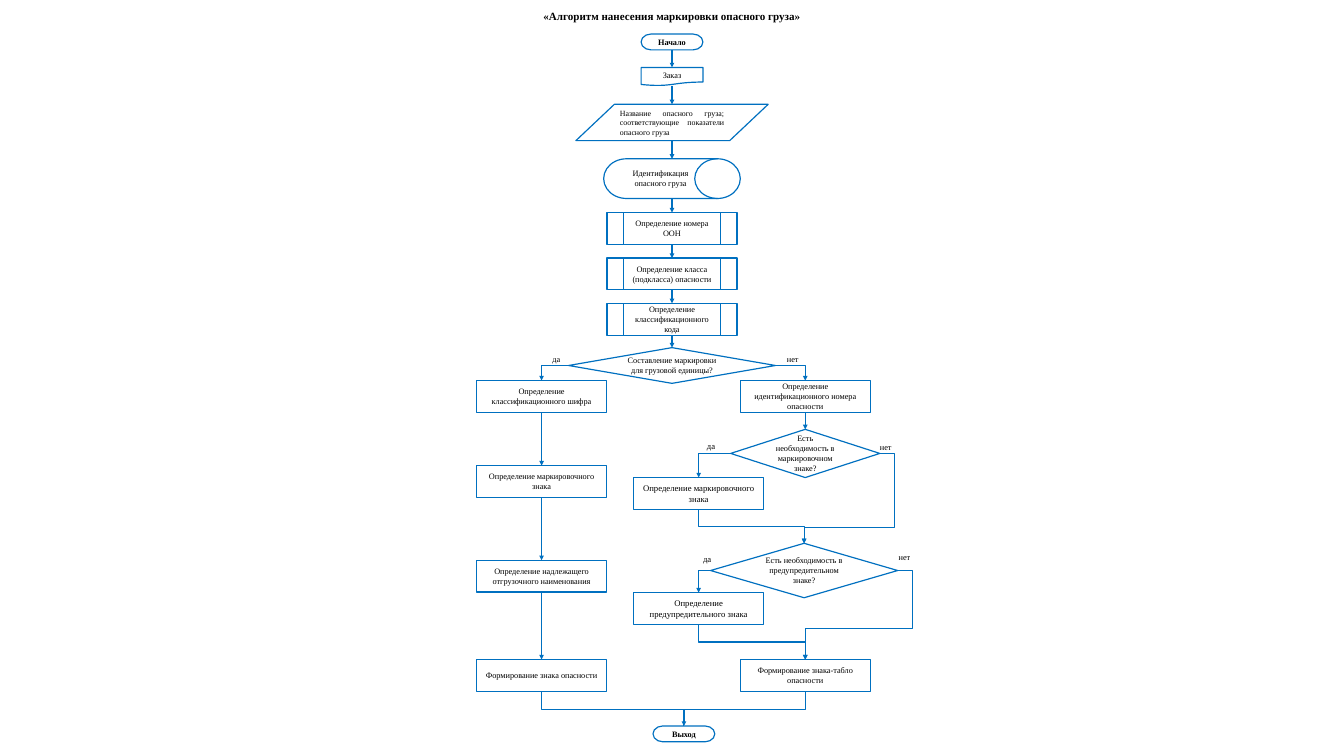
import pptx
import pptx.util
import pptx.dml.color
import pptx.enum.shapes
import pptx.enum.text
import pptx.oxml.ns

SHAPE = pptx.enum.shapes.MSO_SHAPE
CONNECTOR = pptx.enum.shapes.MSO_CONNECTOR
ALIGN = pptx.enum.text.PP_ALIGN
ANCHOR = pptx.enum.text.MSO_ANCHOR
AUTO_SIZE = pptx.enum.text.MSO_AUTO_SIZE

TOP, LEFT, BOTTOM, RIGHT = range(4)
# Horizontal centres of the columns
MAIN, CARGO, VEHICLE, SIGN, EXIT = 1185, 955, 1420, 1232, 1206
BOX = (229, 56)
PILL = (109, 28)


def px(value):
    """Turn px into EMU, 100 px to the inch."""
    return pptx.util.Emu(value * 9144)


def color(hex_value):
    return pptx.dml.color.RGBColor.from_string(hex_value)


def add_child(parent, tag, **attributes):
    parent.append(parent.makeelement(pptx.oxml.ns.qn(tag), attributes))


class Flowchart:
    font = "Times New Roman"
    ink = "000000"
    stroke = "0070C0"
    stroke_width = 1.5

    def __init__(self, slide):
        self.slide = slide

    def add_text(self, frame, text, size, bold=False, align=ALIGN.CENTER):
        frame.word_wrap = True
        paragraph = frame.paragraphs[0]
        paragraph.alignment = align
        run = paragraph.add_run()
        run.text = text
        run.font.name = self.font
        run.font.size = pptx.util.Pt(size)
        run.font.bold = bold
        run.font.color.rgb = color(self.ink)

    def title(self, text, left, top, width, height):
        heading = self.slide.shapes.title
        heading.left, heading.top = px(left), px(top)
        heading.width, heading.height = px(width), px(height)
        heading.text_frame.auto_size = AUTO_SIZE.NONE
        heading.text_frame.vertical_anchor = ANCHOR.TOP
        self.add_text(heading.text_frame, text, 14, bold=True)

    def node(self, kind, text, center, top, size=BOX, font_size=10.5,
             bold=False, align=ALIGN.CENTER):
        width, height = size
        step = self.slide.shapes.add_shape(
            kind, px(center) - px(width) // 2, px(top), px(width), px(height))
        step.shadow.inherit = False
        step.fill.background()
        self.outline(step.line)
        step.text_frame.vertical_anchor = ANCHOR.MIDDLE
        self.add_text(step.text_frame, text, font_size, bold, align)
        return step

    def answer(self, text, left, top, font_size=10.5):
        label = self.slide.shapes.add_textbox(px(left), px(top), px(44), px(28))
        self.add_text(label.text_frame, text, font_size)
        label.text_frame.auto_size = AUTO_SIZE.SHAPE_TO_FIT_TEXT

    def outline(self, line):
        line.color.rgb = color(self.stroke)
        line.width = pptx.util.Pt(self.stroke_width)

    def finish(self, connector, arrow):
        self.outline(connector.line)
        properties = connector.element.spPr
        if arrow:
            add_child(properties.find(pptx.oxml.ns.qn("a:ln")), "a:tailEnd", type="triangle")
        add_child(properties, "a:effectLst")

    def flow(self, *steps):
        """Join each step to the next one below it with a straight arrow."""
        for upper, lower in zip(steps, steps[1:]):
            arrow = self.slide.shapes.add_connector(
                CONNECTOR.STRAIGHT,
                upper.left + upper.width // 2, upper.top + upper.height,
                lower.left + lower.width // 2, lower.top)
            # A parallelogram numbers its connection sites differently
            if upper.auto_shape_type != SHAPE.FLOWCHART_DATA:
                arrow.begin_connect(upper, BOTTOM)
            if lower.auto_shape_type != SHAPE.FLOWCHART_DATA:
                arrow.end_connect(lower, TOP)
            self.finish(arrow, True)

    def elbow(self, start, side, end, bends=(), arrow=True):
        """Lead from a side of start to the top of end; bends are fractions."""
        bent = self.slide.shapes.add_connector(CONNECTOR.ELBOW, 0, 0, 0, 0)
        bent.begin_connect(start, side)
        bent.end_connect(end, TOP)
        geometry = bent.element.spPr.find(pptx.oxml.ns.qn("a:prstGeom"))
        geometry.set("prst", f"bentConnector{len(bends) + 2}")
        guides = geometry.find(pptx.oxml.ns.qn("a:avLst"))
        for number, bend in enumerate(bends, 1):
            add_child(guides, "a:gd", name=f"adj{number}",
                      fmla=f"val {round(bend * 100000)}")
        if side == BOTTOM:
            self.turn_downward(bent)
        self.finish(bent, arrow)

    def turn_downward(self, bent):
        """Rotate the connector so that it leaves vertically."""
        rightward = bent.end_x > bent.begin_x
        across, down = bent.width, bent.height
        middle_x, middle_y = bent.left + across // 2, bent.top + down // 2
        bent.left, bent.top = middle_x - down // 2, middle_y - across // 2
        bent.width, bent.height = down, across
        frame = bent.element.spPr.find(pptx.oxml.ns.qn("a:xfrm"))
        frame.set("rot", "16200000" if rightward else "5400000")
        frame.set("flipH", "1" if rightward else "0")
        frame.set("flipV", "0")


def build(chart):
    node = chart.node
    process = SHAPE.FLOWCHART_PROCESS
    routine = SHAPE.FLOWCHART_PREDEFINED_PROCESS
    decision = SHAPE.FLOWCHART_DECISION

    chart.title("«Алгоритм нанесения маркировки опасного груза»", 810, 11, 750, 34)

    start = node(SHAPE.FLOWCHART_TERMINATOR, "Начало", MAIN, 60, PILL, bold=True)
    order = node(SHAPE.FLOWCHART_DOCUMENT, "Заказ", MAIN, 119, (109, 32))
    cargo_data = node(
        SHAPE.FLOWCHART_DATA,
        "Название опасного груза; соответствующие показатели опасного груза",
        MAIN, 184, (339, 64), 10, align=ALIGN.JUSTIFY)
    identification = node(SHAPE.FLOWCHART_DIRECT_ACCESS_STORAGE,
                          "Идентификация опасного груза", MAIN, 280, (241, 70))
    routines = [node(routine, text, MAIN, 375 + 80 * row) for row, text in enumerate((
        "Определение номера ООН",
        "Определение класса (подкласса) опасности",
        "Определение классификационного кода"))]
    cargo_unit = node(decision, "Составление маркировки для грузовой единицы?",
                      MAIN, 613, (365, 63))
    chart.flow(start, order, cargo_data, identification, *routines, cargo_unit)

    cargo_steps = [node(process, text, CARGO, top) for text, top in (
        ("Определение классификационного шифра", 671),
        ("Определение маркировочного знака", 821),
        ("Определение надлежащего отгрузочного наименования", 988),
        ("Формирование знака опасности", 1163))]
    chart.flow(*cargo_steps)

    hazard_number = node(process, "Определение идентификационного номера опасности",
                         VEHICLE, 671)
    marking_needed = node(decision, "Есть необходимость в маркировочном знаке?",
                          VEHICLE, 757, (263, 85))
    marking_sign = node(SHAPE.RECTANGLE, "Определение маркировочного знака",
                        SIGN, 842, font_size=11)
    warning_needed = node(decision, "Есть необходимость в предупредительном знаке?",
                          VEHICLE - 2, 958, (330, 96))
    warning_sign = node(SHAPE.RECTANGLE, "Определение предупредительного знака",
                        SIGN, 1045, font_size=11)
    hazard_panel = node(process, "Формирование знака-табло опасности", VEHICLE, 1163)
    finish = node(SHAPE.FLOWCHART_TERMINATOR, "Выход", EXIT, 1280, PILL, bold=True)
    chart.flow(hazard_number, marking_needed)

    chart.elbow(cargo_unit, LEFT, cargo_steps[0])
    chart.elbow(cargo_unit, RIGHT, hazard_number)
    for question, sign, following, detour in (
            (marking_needed, marking_sign, warning_needed, (-0.19, 0.82)),
            (warning_needed, warning_sign, hazard_panel, (-0.16, 0.65))):
        chart.elbow(question, LEFT, sign)
        chart.elbow(question, RIGHT, following, detour)
        chart.elbow(sign, BOTTOM, following, (0.5,))
    chart.elbow(cargo_steps[-1], BOTTOM, finish, (0.52,))
    chart.elbow(hazard_panel, BOTTOM, finish, (0.52,), arrow=False)

    for text, left, top, font_size in (
            ("да", 959, 619, 10.5), ("нет", 1376, 619, 10.5),
            ("да", 1232, 772, 11), ("нет", 1540, 774, 10.5),
            ("да", 1225, 971, 11), ("нет", 1573, 968, 10.5)):
        chart.answer(text, left, top, font_size)


def main():
    presentation = pptx.Presentation()
    presentation.slide_width, presentation.slide_height = px(2370), px(1333)
    title_only = presentation.slide_layouts[5]
    build(Flowchart(presentation.slides.add_slide(title_only)))
    presentation.save("out.pptx")


if __name__ == "__main__":
    main()
